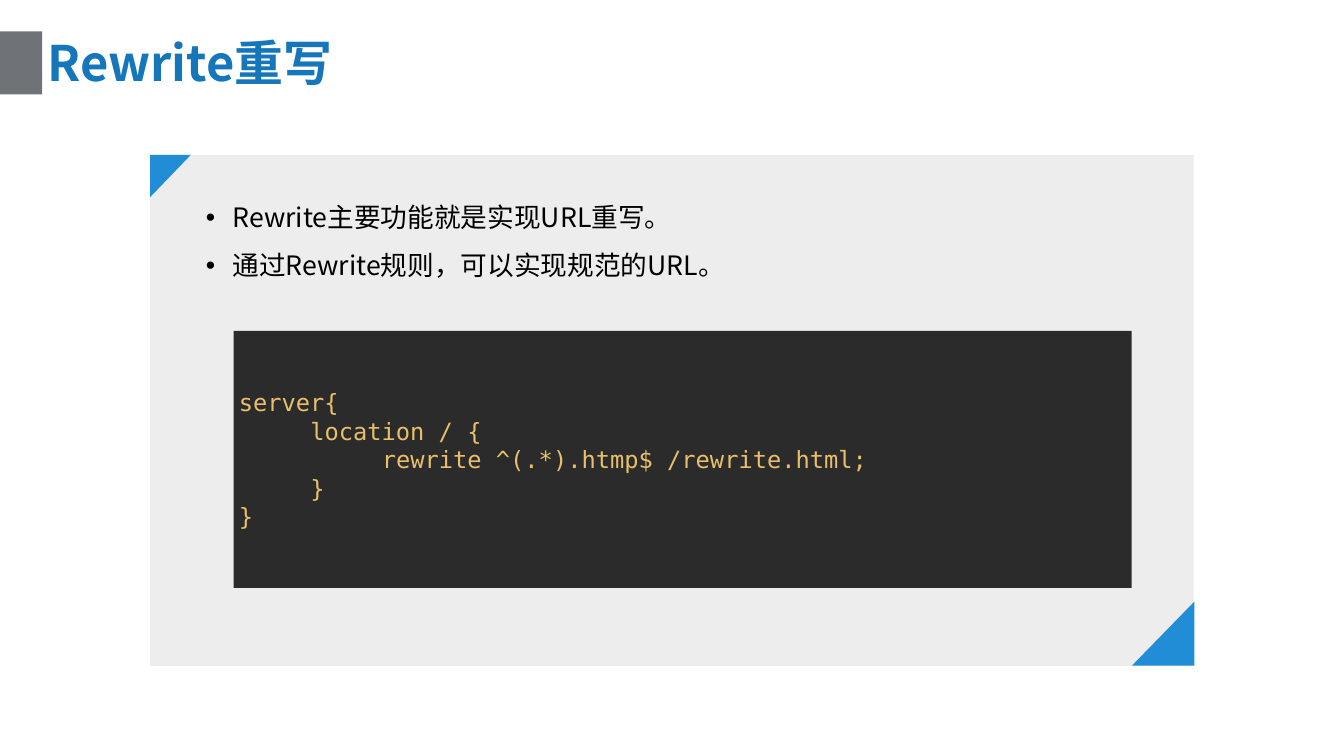
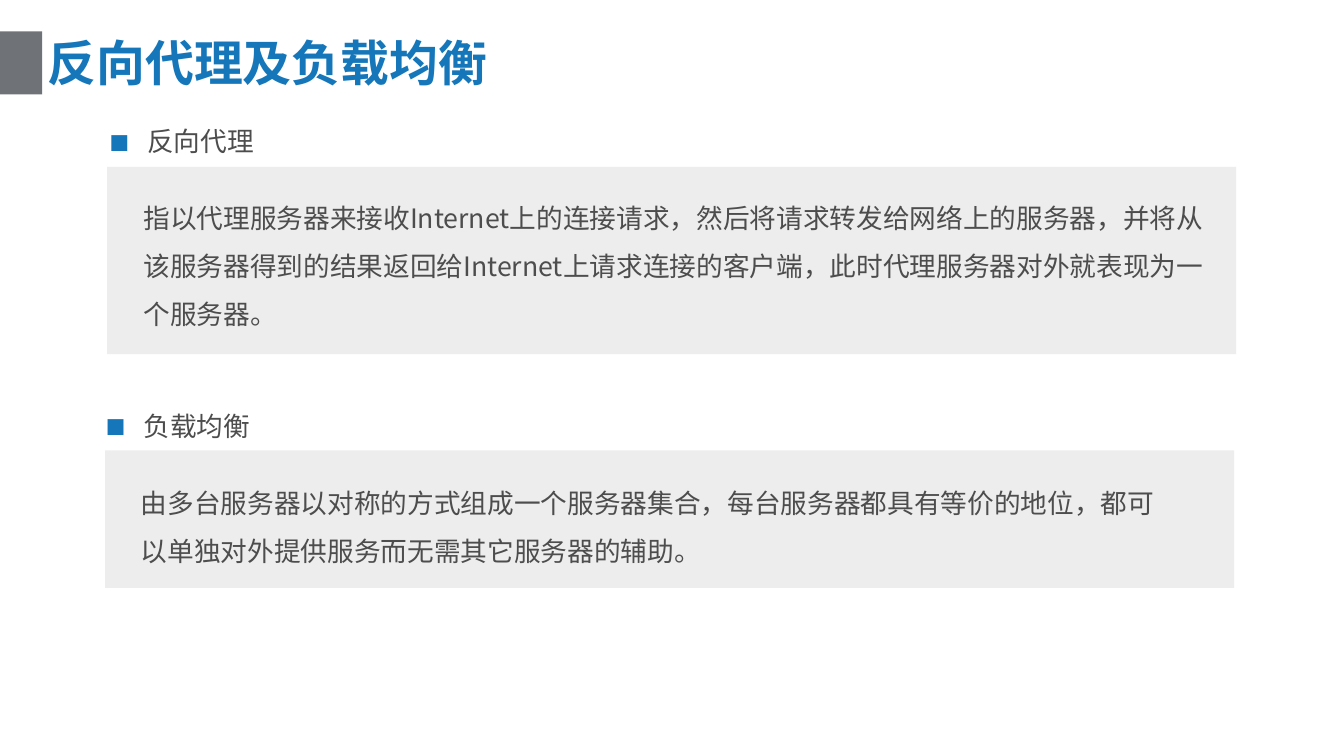
from lxml.etree import SubElement
from pptx import Presentation
from pptx.dml.color import RGBColor
from pptx.enum.shapes import MSO_SHAPE
from pptx.enum.text import MSO_ANCHOR, PP_ALIGN
from pptx.oxml.ns import qn
from pptx.util import Inches, Pt

COLORS = {
    "marker": "6F7378",
    "title": "1577BA",
    "panel": "EDEDED",
    "corner": "218DD6",
    "code_back": "2B2B2B",
    "code": "E8BF6A",
    "black": "000000",
    "body": "4D4D4D",
}
SANS, MONO, DOT = "Noto Sans CJK SC", "DejaVu Sans Mono", "Liberation Sans"
TITLE = {"name": SANS, "size": Pt(66), "bold": True}
BODY = {"name": SANS, "size": Pt(36)}
CODE = {"name": MONO, "size": Pt(32)}
TAB = 1.34


class Deck:
    """Holds the shared style and the current slide, and draws each kind of element."""

    def __init__(self, width, height):
        self.prs = Presentation()
        self.prs.slide_width = Inches(width)
        self.prs.slide_height = Inches(height)
        self.s = None

    def slide(self, title):
        self.s = self.prs.slides.add_slide(self.prs.slide_layouts[6])
        self.shape((0, 0.59, 0.79, 1.18), "marker")
        tf = self.text((0.79, 0.57, 23.62, 1.2), [title], TITLE, "title", spacing=1)
        tf.vertical_anchor = MSO_ANCHOR.MIDDLE

    def shape(self, box, color, kind=MSO_SHAPE.RECTANGLE):
        sp = self.s.shapes.add_shape(kind, *map(Inches, box))
        sp.shadow.inherit = False
        sp.fill.solid()
        sp.fill.fore_color.rgb = RGBColor.from_string(COLORS[color])
        sp.line.fill.background()
        return sp

    def corner(self, box, rotation):
        sp = self.shape(box, "corner", MSO_SHAPE.ISOSCELES_TRIANGLE)
        sp.adjustments[0] = 0
        sp.rotation = rotation

    def paragraph(self, p, text, style, color, align=PP_ALIGN.LEFT, spacing=1.5):
        p.alignment = align
        p.line_spacing = spacing
        r = p.add_run()
        r.text = text
        for key, value in style.items():
            setattr(r.font, key, value)
        r.font.color.rgb = RGBColor.from_string(COLORS[color])
        SubElement(r.font._element, qn("a:ea"), typeface=style["name"])

    def fill_frame(self, tf, lines, decorate=None, **fmt):
        tf.word_wrap = True
        for i, line in enumerate(lines):
            p = tf.add_paragraph() if i else tf.paragraphs[0]
            if decorate:
                decorate(p)
            self.paragraph(p, line, **fmt)

    def text(self, box, lines, style, color, inset=0.1, **fmt):
        tf = self.s.shapes.add_textbox(*map(Inches, box)).text_frame
        for side in ("left", "right"):
            setattr(tf, f"margin_{side}", Inches(inset))
        for side in ("top", "bottom"):
            setattr(tf, f"margin_{side}", Inches(0.05))
        self.fill_frame(tf, lines, style=style, color=color, **fmt)
        return tf

    def bullets(self, box, lines, color, char, font, indent, bullet_color, **fmt):
        def decorate(p):
            pPr = p._p.get_or_add_pPr()
            pPr.set("marL", str(Inches(indent)))
            pPr.set("indent", str(-Inches(indent)))
            clr = SubElement(pPr, qn("a:buClr"))
            SubElement(clr, qn("a:srgbClr"), val=COLORS[bullet_color])
            SubElement(pPr, qn("a:buFont"), typeface=font)
            SubElement(pPr, qn("a:buChar"), char=char)

        self.text(box, lines, BODY, color, decorate=decorate, **fmt)

    def code(self, box, lines):
        def decorate(p):
            tabs = SubElement(p._p.get_or_add_pPr(), qn("a:tabLst"))
            for n in (1, 2):
                SubElement(tabs, qn("a:tab"), pos=str(Inches(TAB * n)), algn="l")

        tf = self.shape(box, "code_back").text_frame
        tf.vertical_anchor = MSO_ANCHOR.MIDDLE
        self.fill_frame(tf, lines, decorate, style=CODE, color="code", spacing=1)

    def section(self, heading, heading_box, panel_box, body, body_box, inset):
        self.shape(panel_box, "panel")
        self.bullets(heading_box, [heading], "body", "■", MONO, 0.67, "title", inset=inset)
        self.text(body_box, [body], BODY, "body", inset=inset)


def main():
    deck = Deck(25.2, 14.17)

    deck.slide("Rewrite重写")
    deck.shape((2.81, 2.91, 19.57, 9.57), "panel")
    deck.bullets(
        (3.81, 3.42, 17.41, 1.92),
        ["Rewrite主要功能就是实现URL重写。", "通过Rewrite规则，可以实现规范的URL。"],
        "black", "•", DOT, 0.5, "black", inset=0.05, align=PP_ALIGN.JUSTIFY,
    )
    deck.code(
        (4.38, 6.2, 16.84, 4.82),
        ["server{", "\tlocation / {", "\t\trewrite ^(.*).htmp$ /rewrite.html;", "\t}", "}"],
    )
    deck.corner((2.8, 2.92, 0.79, 0.76), 90)
    deck.corner((21.21, 11.29, 1.2, 1.17), 270)

    deck.slide("反向代理及负载均衡")
    deck.section(
        "反向代理", (1.99, 1.99, 20.13, 0.91), (2.01, 3.13, 21.17, 3.51),
        "指以代理服务器来接收Internet上的连接请求，然后将请求转发给网络上的服务器，"
        "并将从该服务器得到的结果返回给Internet上请求连接的客户端，"
        "此时代理服务器对外就表现为一个服务器。",
        (2.59, 3.43, 20.13, 2.83), 0.1,
    )
    deck.section(
        "负载均衡", (1.97, 7.33, 19.37, 0.91), (1.97, 8.44, 21.17, 2.58),
        "由多台服务器以对称的方式组成一个服务器集合，每台服务器都具有等价的地位，"
        "都可以单独对外提供服务而无需其它服务器的辅助。",
        (2.59, 8.78, 19.37, 1.82), 0.05,
    )

    deck.prs.save("out.pptx")


if __name__ == "__main__":
    main()
